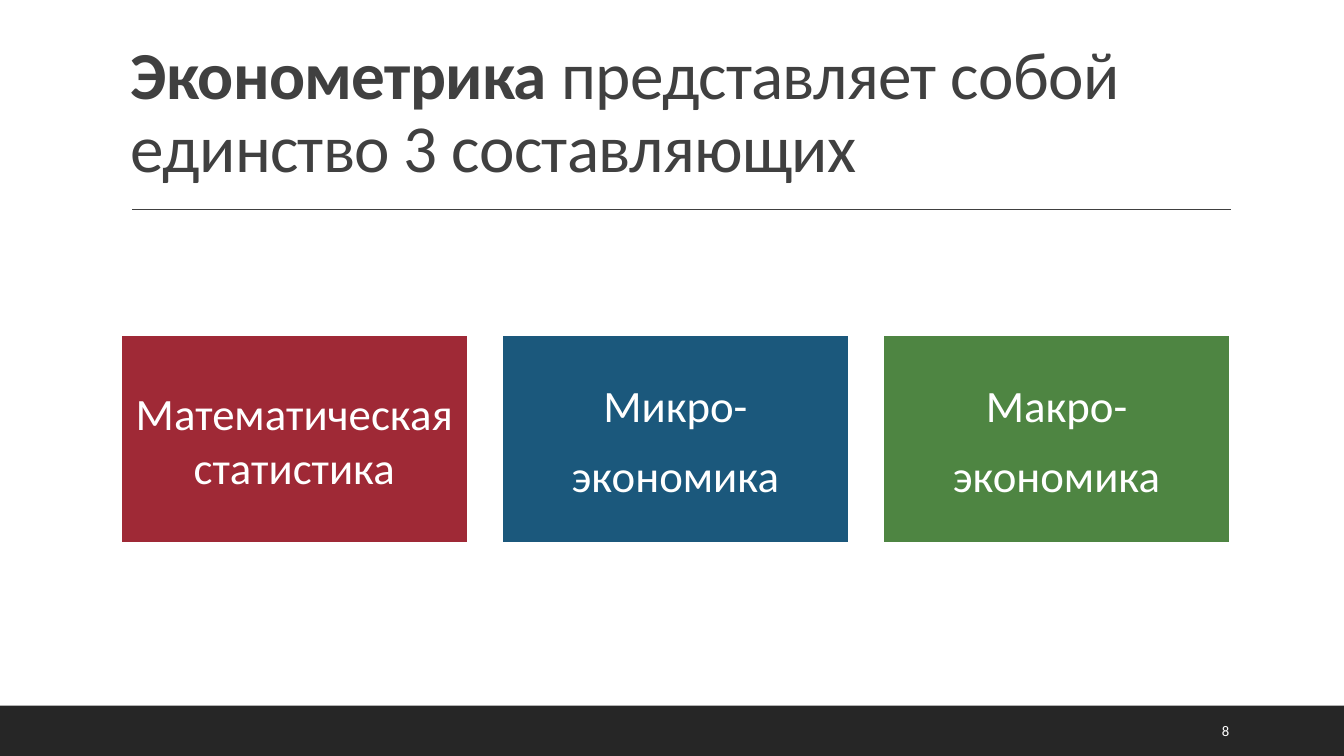
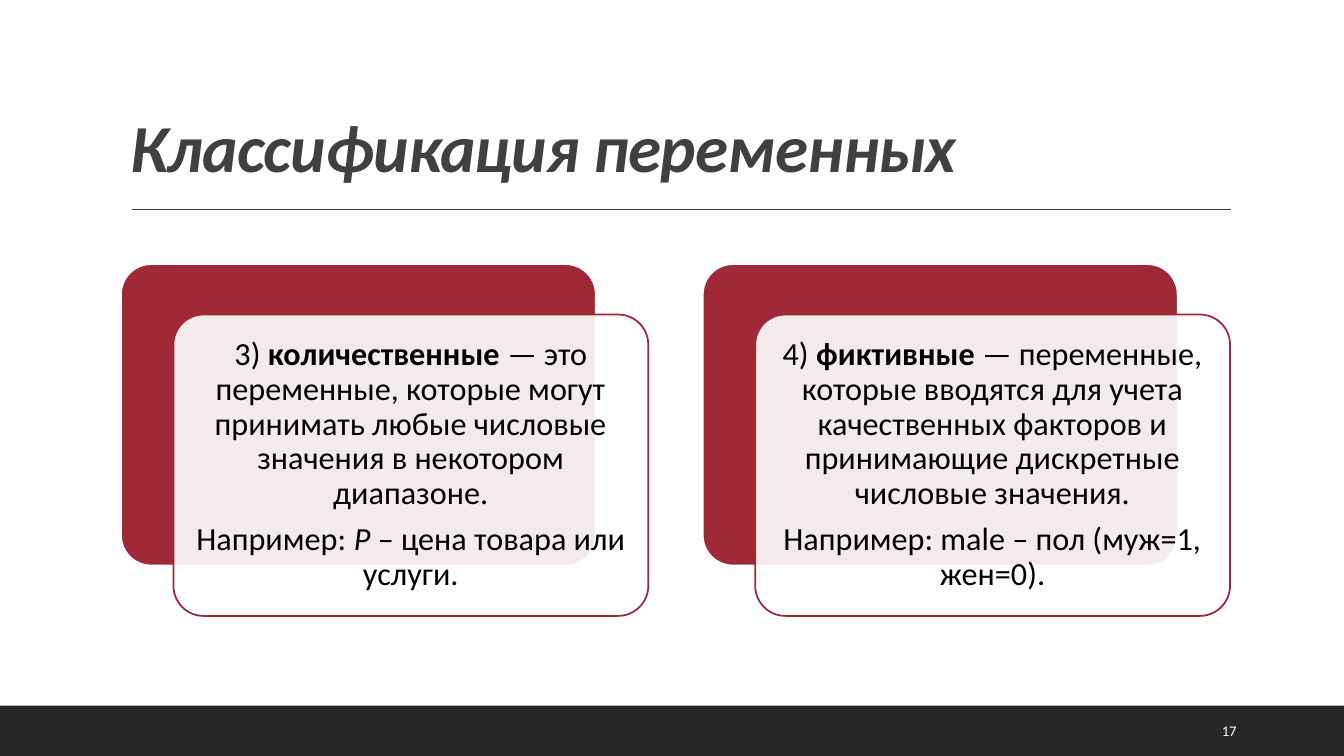
import pptx
import pptx.dml.color
import pptx.enum.shapes
import pptx.enum.text
import pptx.oxml
import pptx.oxml.ns
import pptx.util

Inches, Pt = pptx.util.Inches, pptx.util.Pt
SHAPES = pptx.enum.shapes.MSO_SHAPE
ANCHOR = pptx.enum.text.MSO_ANCHOR
ALIGN = pptx.enum.text.PP_ALIGN

COLORS = {"white": "FFFFFF", "black": "000000", "band": "262626", "title": "404040",
          "red": "9F2936", "blue": "1B587C", "green": "4E8542"}
FONT = "Calibri"
LEFT, CONTENT_WIDTH = 1.2, 11
SPACE_AFTER = 0.35  # share of the font size

# Text is a list of paragraphs; a paragraph is a list of (text, style) runs,
# where the style holds "b" for bold and "i" for italic.
COMPONENTS = {
    "page": "8",
    "title": [[("Эконометрика ", "b"), ("представляет собой единство 3 составляющих", "")]],
    "boxes": [
        ("red", [[("Математическая статистика", "")]]),
        ("blue", [[("Микро-", "")], [("экономика", "")]]),
        ("green", [[("Макро-", "")], [("экономика", "")]]),
    ],
}
VARIABLES = {
    "page": "17",
    "title": [[("Классификация переменных", "bi")]],
    "cards": [
        [[("3) ", ""), ("количественные", "b"),
          (" — это переменные, которые могут принимать любые числовые значения "
           "в некотором диапазоне.", "")],
         [("Например: ", ""), ("P", "i"), (" – цена товара или услуги.", "")]],
        [[("4) ", ""), ("фиктивные", "b"),
          (" — переменные, которые вводятся для учета качественных факторов "
           "и принимающие дискретные числовые значения.", "")],
         [("Например: male – пол (муж=1, жен=0).", "")]],
    ],
}


def rgb(name):
    return pptx.dml.color.RGBColor.from_string(COLORS[name])


def write(shape, paragraphs, size, color="white", align=ALIGN.LEFT, anchor=ANCHOR.MIDDLE,
          line_spacing=1.0, space_after=0, insets=(0.1, 0.05), tracking=0):
    frame = shape.text_frame
    frame.word_wrap = True
    frame.vertical_anchor = anchor
    frame.margin_left = frame.margin_right = Inches(insets[0])
    frame.margin_top = frame.margin_bottom = Inches(insets[1])
    for index, runs in enumerate(paragraphs):
        paragraph = frame.add_paragraph() if index else frame.paragraphs[0]
        paragraph.alignment = align
        paragraph.line_spacing = line_spacing
        paragraph.space_after = Pt(size * space_after)
        for text, style in runs:
            run = paragraph.add_run()
            run.text = text
            run.font.name = FONT
            run.font.size = Pt(size)
            run.font.color.rgb = rgb(color)
            run.font.bold = "b" in style
            run.font.italic = "i" in style
            if tracking:
                run.font._element.set("spc", str(round(tracking * 100)))


def add_box(slide, kind, left, top, width, height, fill, line=None, opacity=100):
    shape = slide.shapes.add_shape(kind, Inches(left), Inches(top), Inches(width), Inches(height))
    shape.shadow.inherit = False
    shape.fill.solid()
    shape.fill.fore_color.rgb = rgb(fill)
    if opacity < 100:
        color = shape.fill._xPr.find(".//" + pptx.oxml.ns.qn("a:srgbClr"))
        alpha = pptx.oxml.parse_xml(
            f'<a:alpha {pptx.oxml.ns.nsdecls("a")} val="{opacity * 1000}"/>')
        color.append(alpha)
    if line:
        shape.line.color.rgb = rgb(line)
        shape.line.width = Pt(1.25)
    else:
        shape.line.fill.background()
    return shape


def add_textbox(slide, left, top, width, height):
    return slide.shapes.add_textbox(Inches(left), Inches(top), Inches(width), Inches(height))


def add_base_slide(presentation, content):
    """Add a slide with the band, title, title rule and page number."""
    slide = presentation.slides.add_slide(presentation.slide_layouts[6])
    add_box(slide, SHAPES.RECTANGLE, 0, 7, 13.33, 0.5, "band")
    rule = slide.shapes.add_connector(pptx.enum.shapes.MSO_CONNECTOR.STRAIGHT,
                                      Inches(1.31), Inches(2.08), Inches(12.21), Inches(2.08))
    rule.line.color.rgb = rgb("title")
    rule.line.width = Pt(1)
    rule._element.spPr.append(
        pptx.oxml.parse_xml(f'<a:effectLst {pptx.oxml.ns.nsdecls("a")}/>'))
    write(add_textbox(slide, LEFT, 0.31, CONTENT_WIDTH, 1.59), content["title"], 48, "title",
          anchor=ANCHOR.BOTTOM, line_spacing=0.9, tracking=-0.5)
    write(add_textbox(slide, 12.02, 7.05, 0.85, 0.4), [[(content["page"], "")]], 10.5)
    return slide


def spread(count, width):
    """Left edges of equal items that fill the content width."""
    step = (CONTENT_WIDTH - width) / (count - 1)
    return [LEFT + index * step for index in range(count)]


def build_components(presentation):
    slide = add_base_slide(presentation, COMPONENTS)
    boxes, width = COMPONENTS["boxes"], 3.44
    for left, (color, text) in zip(spread(len(boxes), width), boxes):
        box = add_box(slide, SHAPES.RECTANGLE, left, 3.33, width, 2.06, color, "white")
        write(box, text, 32, align=ALIGN.CENTER, space_after=SPACE_AFTER, insets=(0.13, 0.13))


def build_variables(presentation):
    slide = add_base_slide(presentation, VARIABLES)
    cards, width, height, top = VARIABLES["cards"], 4.71, 2.99, 2.62
    shift_x, shift_y = 0.52, 0.5
    for left, text in zip(spread(len(cards), width + shift_x), cards):
        back = add_box(slide, SHAPES.ROUNDED_RECTANGLE, left, top, width, height, "red", "white")
        front = add_box(slide, SHAPES.ROUNDED_RECTANGLE, left + shift_x, top + shift_y,
                        width, height, "white", "red", opacity=90)
        for card in (back, front):
            card.adjustments[0] = 0.1
        write(front, text, 23, "black", align=ALIGN.CENTER, line_spacing=0.9,
              space_after=SPACE_AFTER, insets=(0.1, 0.1))


def main():
    presentation = pptx.Presentation()
    presentation.slide_width = Inches(13.33)
    presentation.slide_height = Inches(7.5)
    build_components(presentation)
    build_variables(presentation)
    presentation.save("out.pptx")


if __name__ == "__main__":
    main()
